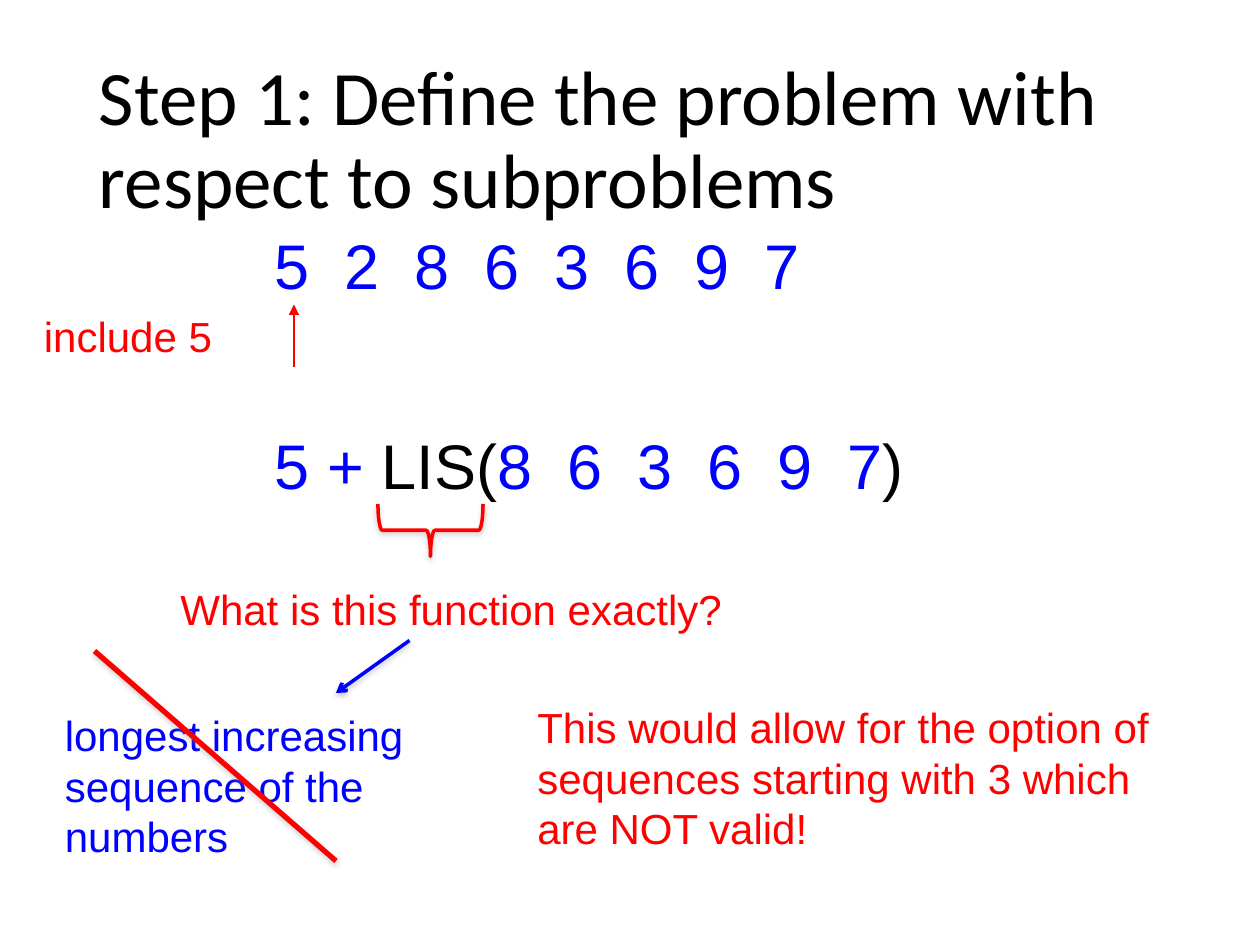
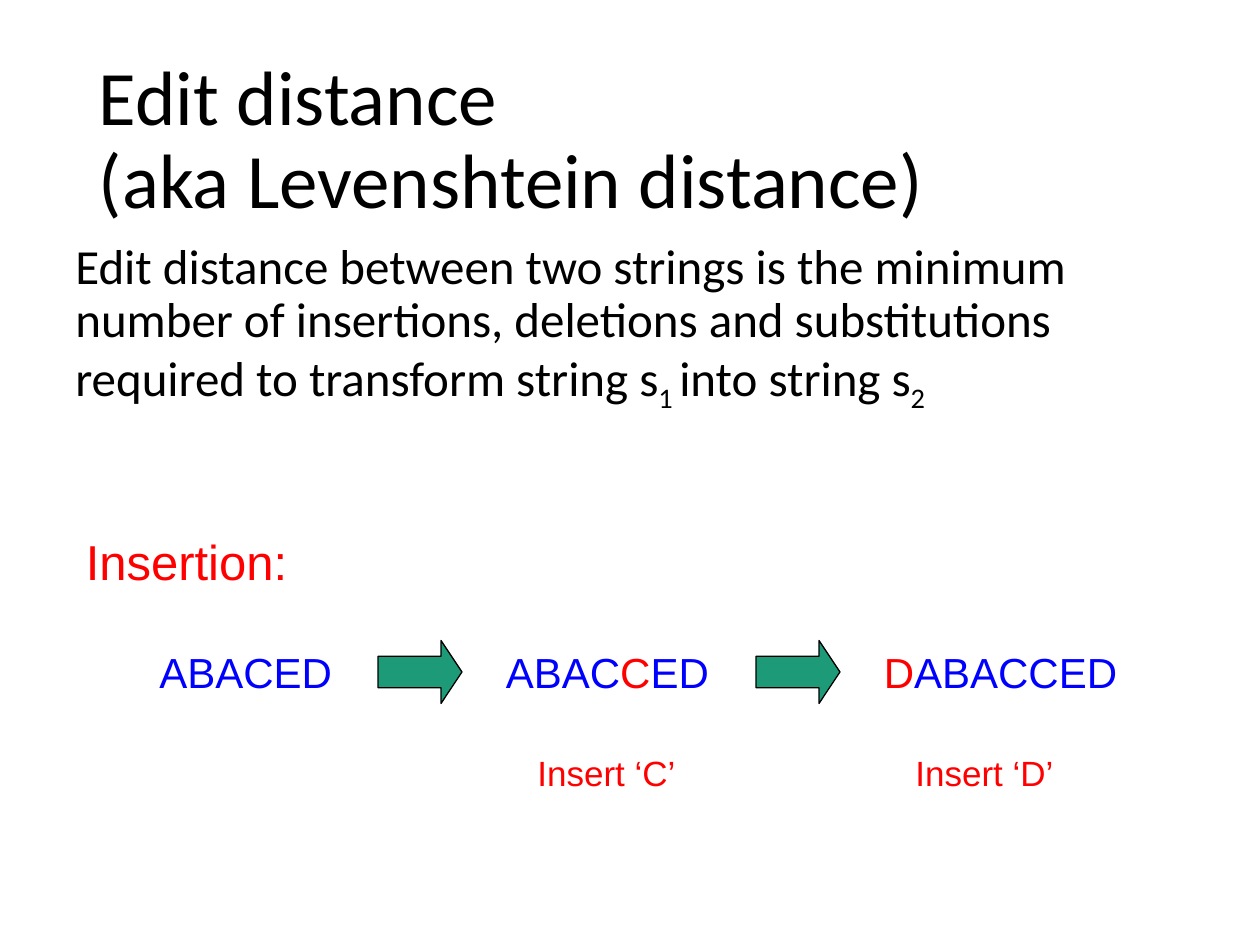
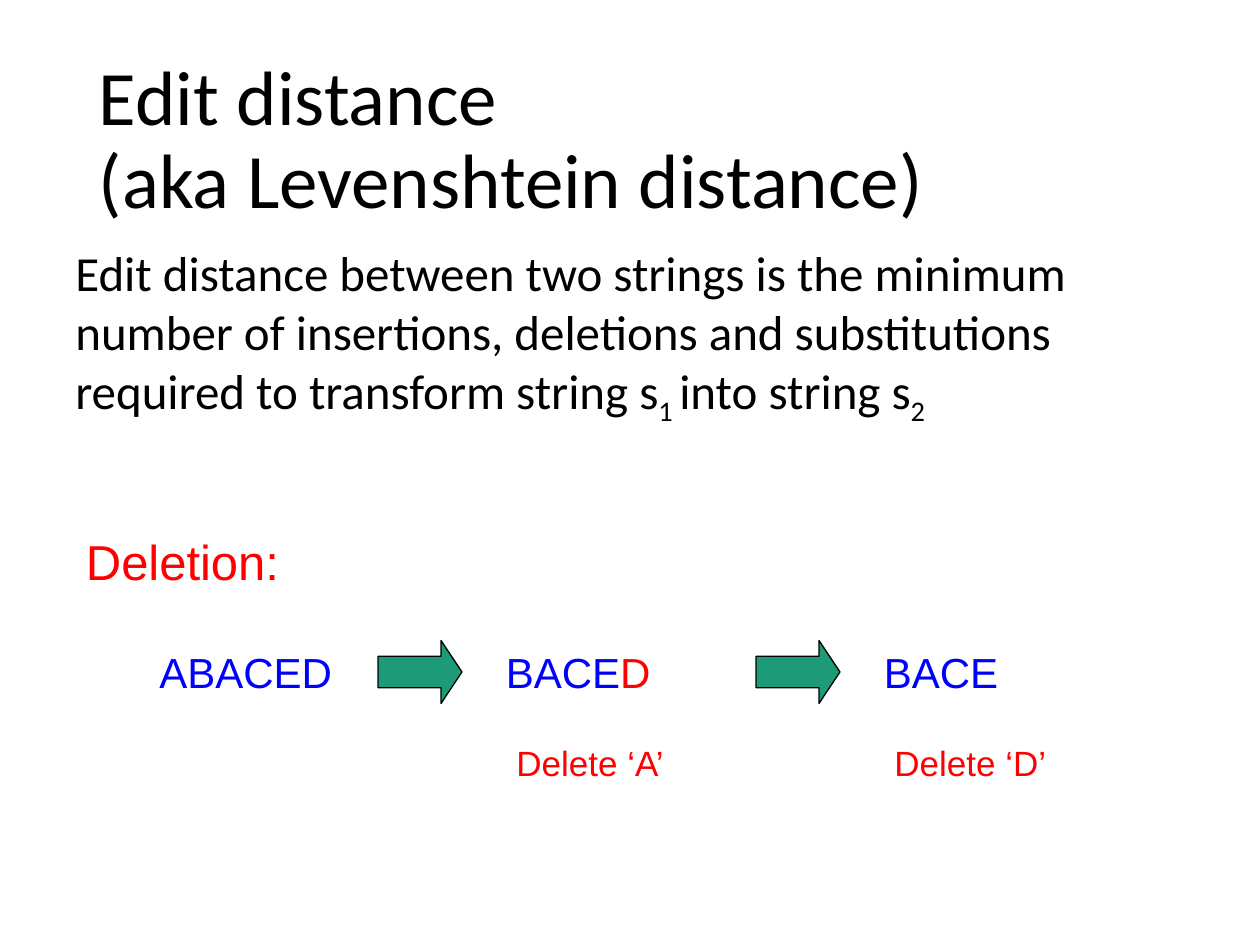
from dataclasses import dataclass
from lxml.etree import SubElement
from pptx import Presentation
from pptx.dml.color import RGBColor
from pptx.enum.shapes import MSO_CONNECTOR, MSO_SHAPE
from pptx.enum.text import MSO_ANCHOR, MSO_AUTO_SIZE
from pptx.oxml import parse_xml
from pptx.oxml.ns import nsdecls, qn
from pptx.util import Inches, Pt


@dataclass(frozen=True)
class Theme:
    black: RGBColor = RGBColor(0, 0, 0)
    blue: RGBColor = RGBColor(0, 0, 255)
    red: RGBColor = RGBColor(255, 0, 0)
    green: RGBColor = RGBColor(0x1D, 0x9A, 0x78)
    head: Pt = Pt(44)
    digit: Pt = Pt(36)
    body: Pt = Pt(28)
    note: Pt = Pt(24)
    small: Pt = Pt(20)
    sans: str = "Arial"
    serif: str = "Calibri"


look = Theme()
deck = Presentation()
deck.slide_width, deck.slide_height = Inches(10), Inches(7.5)
cell = deck.slide_width // 120  # grid of 120 columns by 90 rows

# Shared boxes, in columns and rows
title_box = (8.25, 4.8, 103.5, 17.4)
body_box = (6, 22.5, 108, 27.5)
shadow = (
    f'<a:effectLst {nsdecls("a")}><a:outerShdw blurRad="39370" dist="20320" '
    'dir="5400000" rotWithShape="0"><a:srgbClr val="808080">'
    '<a:alpha val="38000"/></a:srgbClr></a:outerShdw></a:effectLst>'
)
plain = f'<a:effectLst {nsdecls("a")}/>'


def write(slide, box, runs, size, face=look.sans, lead=None, **extra):
    """Add a text box; each run is (text, colour) or (text, colour, baseline)."""
    frame = slide.shapes.add_textbox(*(round(n * cell) for n in box)).text_frame
    form = {"word_wrap": True, "auto_size": MSO_AUTO_SIZE.NONE, **extra}
    for key, value in form.items():
        setattr(frame, key, value)
    para = frame.paragraphs[0]
    para.line_spacing = lead
    for words, color, *base in runs:
        if words == "\n":
            para.add_line_break()
            continue
        run = para.add_run()
        run.text = words
        for key, value in {"name": face, "size": size}.items():
            setattr(run.font, key, value)
        run.font.color.rgb = color
        if base:
            run.font._element.set("baseline", str(base[0] * 1000))
    return para


def stroke(shape, color, width, effect=plain, tip=None):
    """Style a line or outline, with its shadow and arrowhead."""
    shape.line.color.rgb = color
    shape.line.width = Pt(width)
    if tip:
        SubElement(shape.line._get_or_add_ln(), qn("a:tailEnd"), type=tip)
    shape._element.spPr.append(parse_xml(effect))


def_title = {"size": look.head, "face": look.serif, "lead": 0.9,
             "vertical_anchor": MSO_ANCHOR.MIDDLE}
blank = deck.slide_layouts[6]

# Slide 1: title
slide = deck.slides.add_slide(blank)
write(slide, title_box,
      [("Step 1: Define the problem with respect to subproblems", look.black)],
      **def_title)

# Number rows: digits 40 points apart, set by tab stops
rows = [
    (21, 0, [("5\t2\t8\t6\t3\t6\t9\t7", look.blue)]),
    (40, 127, [("5 + ", look.blue), ("LIS(", look.black),
               ("8\t6\t3\t6\t9\t7", look.blue), (")", look.black)]),
]
for top, start, runs in rows:
    para = write(slide, (25, top, 67, 8.4), runs, look.digit)
    tabs = SubElement(para._p.get_or_add_pPr(), qn("a:tabLst"))
    for step in range(1, 8):
        SubElement(tabs, qn("a:tab"), pos=str(Pt(start + 40 * step)), algn="l")

# Notes
notes = [
    ((3, 29, 21, 6), "include 5", look.red),
    ((16, 55, 68, 6), "What is this function exactly?", look.red),
    ((5, 67, 43, 15.7), "longest increasing sequence of the numbers", look.blue),
    ((50, 66.25, 61, 15.7), "This would allow for the option of sequences "
     "starting with 3 which are NOT valid!", look.red),
]
for box, words, color in notes:
    write(slide, box, [(words, color)], look.note)

# Brace under the function name
brace = slide.shapes.add_shape(
    MSO_SHAPE.LEFT_BRACE, *(round(n * cell) for n in (38.5, 45.5, 5, 10)))
brace.rotation = 270
brace.adjustments[0] = 0.083
brace.fill.background()
stroke(brace, look.red, 2, shadow)

# Pointers and the strike through the wrong answer
lines = [
    ((28, 35, 28, 29), look.red, 0.75, plain, "triangle"),
    ((39, 61, 32, 66), look.blue, 2, shadow, "arrow"),
    ((9, 62, 32, 82), look.red, 3, shadow, None),
]
for ends, *style in lines:
    line = slide.shapes.add_connector(
        MSO_CONNECTOR.STRAIGHT, *(round(n * cell) for n in ends))
    stroke(line, *style)

# Slides 2 and 3: one edit operation each
edits = [
    {"name": "Insertion:", "lead": 0.9, "spot": (50, 71),
     "words": [[("ABACED", look.blue)],
               [("ABAC", look.blue), ("C", look.red), ("ED", look.blue)],
               [("D", look.red), ("ABACCED", look.blue)]],
     "steps": ["Insert ‘C’", "Insert ‘D’"]},
    {"name": "Deletion:", "lead": None, "spot": (48, 70),
     "words": [[("ABACED", look.blue)],
               [("BACE", look.blue), ("D", look.red)],
               [("BACE", look.blue)]],
     "steps": ["Delete ‘A’", "Delete ‘D’"]},
]
for edit in edits:
    slide = deck.slides.add_slide(blank)
    write(slide, title_box,
          [("Edit distance", look.black), ("\n", look.black),
           ("(aka Levenshtein distance)", look.black)], **def_title)
    write(slide, body_box,
          [("Edit distance between two strings is the minimum number of "
            "insertions, deletions and substitutions required to transform "
            "string s", look.black), ("1 ", look.black, -25),
           ("into string s", look.black), ("2", look.black, -25)],
          look.body, look.serif, edit["lead"])
    write(slide, (7, 50, 22, 6.8), [(edit["name"], look.red)], look.body)

    # Strings
    for left, wide, runs in zip((14, 47, 83), (19, 23, 27), edit["words"]):
        write(slide, (left, 61, wide, 6), runs, look.note)

    # Arrows and step labels, 36 columns apart
    left, top = edit["spot"]
    for turn, step in enumerate(edit["steps"]):
        shift = 36 * turn
        arrow = slide.shapes.add_shape(
            MSO_SHAPE.RIGHT_ARROW,
            *(round(n * cell) for n in (36 + shift, 61, 8, 6)))
        arrow.adjustments[1] = 0.333
        arrow.fill.solid()
        arrow.fill.fore_color.rgb = look.green
        stroke(arrow, look.black, 0.75)
        write(slide, (left + shift, top, 17, 5.2), [(step, look.red)], look.small)

deck.save("out.pptx")
